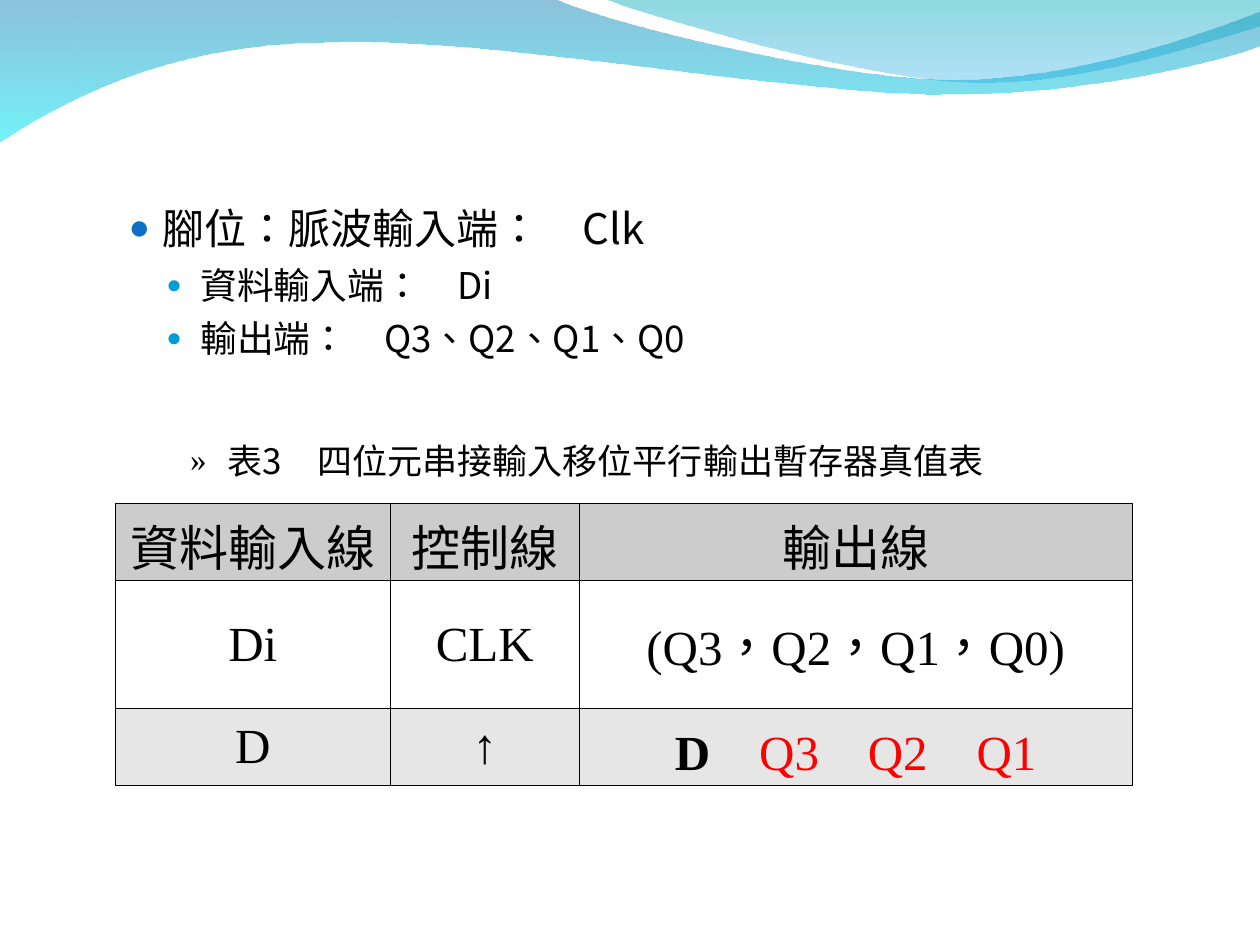
from dataclasses import dataclass
from typing import Any, NamedTuple

import pptx
import pptx.dml.color
import pptx.enum.lang
import pptx.enum.text
import pptx.oxml
import pptx.oxml.ns
import pptx.util

Pt = pptx.util.Pt
RGB = pptx.dml.color.RGBColor.from_string
qn = pptx.oxml.ns.qn
NS = pptx.oxml.ns.nsdecls("a")


@dataclass(frozen=True)
class Theme:
    black: str = "000000"
    red: str = "FF0000"
    blue: str = "0F6FC6"
    cyan: str = "009DD9"
    header: str = "CCCCCC"
    band: str = "E6E6E6"
    sans: str = "Noto Sans CJK SC"
    sans_tc: str = "Noto Sans CJK TC"
    serif: str = "Times New Roman"
    main: float = 24
    sub: float = 21
    caption: float = 20
    table: float = 28
    border: float = 0.45


T = Theme()


class Run(NamedTuple):
    text: str
    font: str = T.serif
    color: str = T.black
    bold: bool = False


class Bullet(NamedTuple):
    text: str
    size: float
    char: str
    color: str
    percent: int
    left: float
    hang: float
    level: int = 0
    before: float = 0


class Stop(NamedTuple):
    color: str
    alpha: int


class Wave(NamedTuple):
    start: tuple
    segments: list  # one point is a line, three points are a Bézier curve
    stops: tuple


WAVES = [
    Wave((0, -0.7), [
        [(316.8, -0.7)],
        [(342.7, 12.2), (478.1, 45.4), (545.8, 45.4)],
        [(614.2, 45.4), (689.8, 18.7), (720, 6.5)],
        [(720.7, 25.9)],
        [(707.8, 31.7), (626.4, 54.7), (537.1, 54)],
        [(447.8, 54), (275, 20.2), (185, 24.5)],
        [(92.9, 25.2), (33.1, 59.8), (-0.7, 81.4)],
        [(0, -0.7)],
    ], (Stop("0079AF", 45), Stop("00EBF8", 55))),
    Wave((344.9, -0.7), [
        [(366.5, 7.9), (491, 44.6), (553.7, 46.8)],
        [(616.3, 49.7), (691.9, 23), (720, 15.1)],
        [(720, 0)],
        [(344.9, -0.7)],
    ], (Stop("00ADB6", 45), Stop("009BE5", 30))),
]

PINS = [
    Bullet("腳位：脈波輸入端：　Clk", T.main, "●", T.blue, 85, 50.4, 19.4),
    Bullet("資料輸入端：　Di", T.sub, "●", T.cyan, 70, 72, 19.4, 1, 5.2),
    Bullet("輸出端：　Q3、Q2、Q1、Q0", T.sub, "●", T.cyan, 70, 72, 19.4, 1, 5.2),
]
CAPTION = Bullet("表3　四位元串接輸入移位平行輸出暫存器真值表",
                 T.caption, "»", T.black, 95, 21.6, 21.6)

COMMA = Run("，", T.sans_tc)
COLUMNS = [157, 108, 316]
ROWS = [44.2, 72.7, 44.2]
FILLS = [T.header, None, T.band]
CELLS = [
    [[Run(text, T.sans_tc)] for text in ("資料輸入線", "控制線", "輸出線")],
    [[Run("Di")], [Run("CLK")],
     [Run("(Q3"), COMMA, Run("Q2"), COMMA, Run("Q1"), COMMA, Run("Q0)")]],
    [[Run("D")], [Run("↑")],
     [Run("D　", bold=True), Run("Q3　Q2　Q1", color=T.red)]],
]


def add_wave(s: Any, wave: Wave) -> None:
    points = [(Pt(x), Pt(y)) for seg in wave.segments for x, y in seg]
    builder = s.shapes.build_freeform(Pt(wave.start[0]), Pt(wave.start[1]))
    builder.add_line_segments(points, close=True)
    sp = builder.convert_to_shape()

    # Join each three points of a curve into one Bézier segment
    lines = iter(sp._element.findall(".//" + qn("a:lnTo")))
    for seg in wave.segments:
        parts = [next(lines) for _ in seg]
        if len(parts) == 3:
            curve = pptx.oxml.parse_xml(f"<a:cubicBezTo {NS}/>")
            parts[0].addprevious(curve)
            for part in parts:
                curve.append(part[0])
                part.getparent().remove(part)

    sp.shadow.inherit = False
    sp.line.fill.background()
    sp.fill.gradient()
    sp.fill.gradient_angle = 270
    for stop, spot in zip(wave.stops, sp.fill.gradient_stops):
        spot.color.rgb = RGB(stop.color)
    colors = sp._element.spPr.findall(".//" + qn("a:srgbClr"))
    for stop, color in zip(wave.stops, colors):
        color.append(pptx.oxml.parse_xml(f'<a:alpha {NS} val="{stop.alpha * 1000}"/>'))


def add_run(p: Any, run: Run, size: float, east: str) -> None:
    r = p.add_run()
    r.text = run.text
    style = {"size": Pt(size), "bold": run.bold, "name": run.font,
             "language_id": pptx.enum.lang.MSO_LANGUAGE_ID.TRADITIONAL_CHINESE}
    for key, value in style.items():
        setattr(r.font, key, value)
    r.font.color.rgb = RGB(run.color)
    r._r.get_or_add_rPr().append(
        pptx.oxml.parse_xml(f'<a:ea {NS} typeface="{east}"/>'))


def add_bullet(p: Any, item: Bullet) -> None:
    pPr = p._p.get_or_add_pPr()
    pPr.set("marL", str(Pt(item.left)))
    pPr.set("indent", str(-Pt(item.hang)))
    for xml in (f'<a:buClr {NS}><a:srgbClr val="{item.color}"/></a:buClr>',
                f'<a:buSzPct {NS} val="{item.percent * 1000}"/>',
                f'<a:buFont {NS} typeface="{T.serif}"/>',
                f'<a:buChar {NS} char="{item.char}"/>'):
        pPr.append(pptx.oxml.parse_xml(xml))
    layout = {"level": item.level, "space_before": Pt(item.before),
              "alignment": pptx.enum.text.PP_ALIGN.LEFT}
    for key, value in layout.items():
        setattr(p, key, value)
    add_run(p, Run(item.text, T.sans), item.size, T.sans)


def add_cell(cell: Any, runs: list, fill: str | None) -> None:
    cell.vertical_anchor = pptx.enum.text.MSO_ANCHOR.MIDDLE
    tcPr = cell._tc.get_or_add_tcPr()
    for side in "LRTB":
        tcPr.append(pptx.oxml.parse_xml(
            f'<a:ln{side} {NS} w="{Pt(T.border)}"><a:solidFill>'
            f'<a:srgbClr val="{T.black}"/></a:solidFill></a:ln{side}>'))
    if fill:
        cell.fill.solid()
        cell.fill.fore_color.rgb = RGB(fill)
    else:
        cell.fill.background()
    p = cell.text_frame.paragraphs[0]
    p.alignment = pptx.enum.text.PP_ALIGN.CENTER
    for run in runs:
        add_run(p, run, T.table, T.sans_tc)


def main() -> None:
    prs = pptx.Presentation()
    prs.slide_width, prs.slide_height = Pt(720), Pt(540)
    s = prs.slides.add_slide(prs.slide_layouts[1])
    title = s.shapes.title._element
    title.getparent().remove(title)

    # Waves along the top
    for wave in WAVES:
        add_wave(s, wave)

    # Pin list
    body = s.placeholders[1]
    place = {"left": 35.3, "top": 112.3, "width": 648, "height": 345.6}
    for key, value in place.items():
        setattr(body, key, Pt(value))
    tf = body.text_frame
    tf.auto_size = pptx.enum.text.MSO_AUTO_SIZE.NONE
    for i, item in enumerate(PINS):
        add_bullet(tf.add_paragraph() if i else tf.paragraphs[0], item)

    # Table caption
    tf = s.shapes.add_textbox(Pt(101.5), Pt(247.7), Pt(478), Pt(31.7)).text_frame
    tf.word_wrap = False
    tf.auto_size = pptx.enum.text.MSO_AUTO_SIZE.SHAPE_TO_FIT_TEXT
    add_bullet(tf.paragraphs[0], CAPTION)

    # Truth table
    table = s.shapes.add_table(len(ROWS), len(COLUMNS), Pt(66), Pt(287.7),
                               Pt(sum(COLUMNS)), Pt(sum(ROWS))).table
    for column, width in zip(table.columns, COLUMNS):
        column.width = Pt(width)
    for i, (height, fill) in enumerate(zip(ROWS, FILLS)):
        table.rows[i].height = Pt(height)
        for j, runs in enumerate(CELLS[i]):
            add_cell(table.cell(i, j), runs, fill)

    prs.save("out.pptx")


if __name__ == "__main__":
    main()
